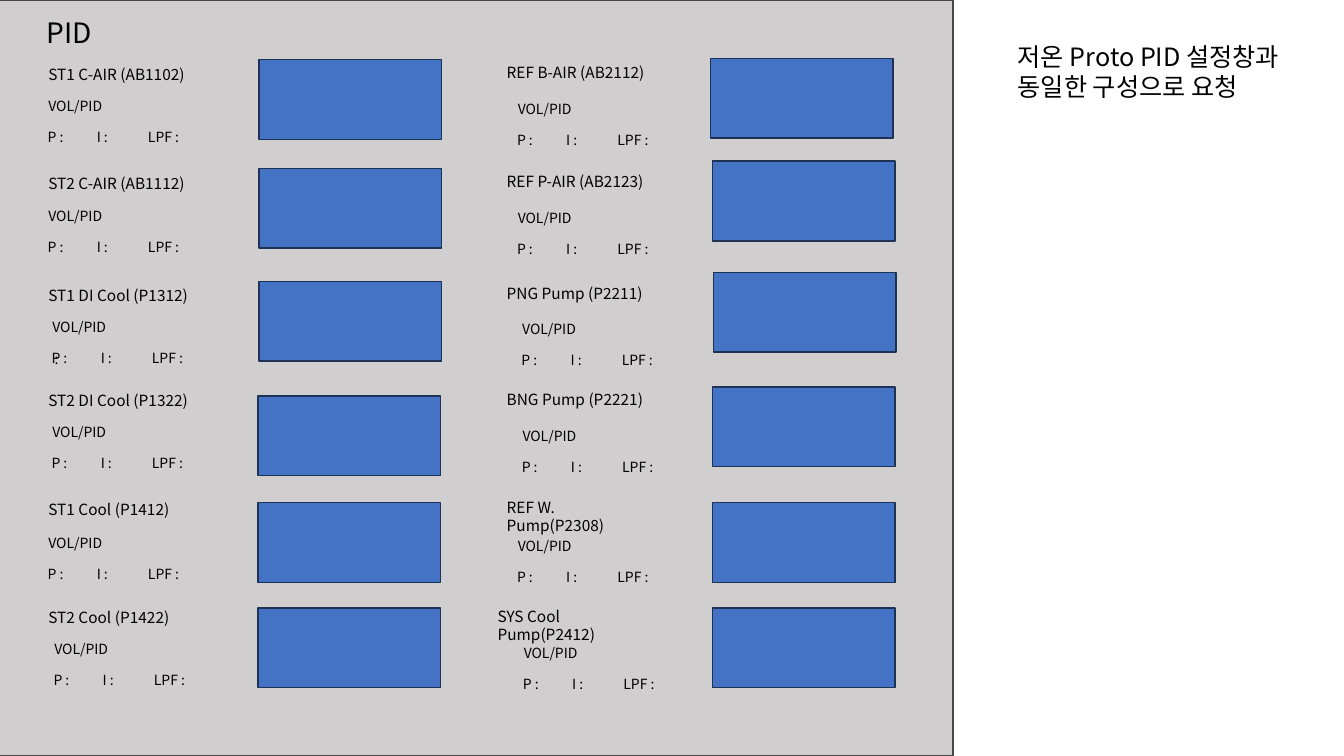
from lxml import etree
from pptx import Presentation, util as u
from pptx.dml.color import RGBColor
from pptx.enum import shapes, text
from pptx.oxml.ns import qn

# label, label x, label y, settings x, settings y, display x, display y (cm)
CONTROLLERS = [
    ("ST1 C-AIR (AB1102)", 0.97, 1.52, 0.95, 2.34, 6.53, 1.5),
    ("ST2 C-AIR (AB1112)", 0.97, 4.27, 0.95, 5.1, 6.53, 4.24),
    ("ST1 DI Cool (P1312)", 0.97, 7.09, 1.05, 7.89, 6.53, 7.09),
    ("ST2 DI Cool (P1322)", 0.97, 9.73, 1.05, 10.55, 6.5, 9.98),
    ("ST1 Cool (P1412)", 0.97, 12.47, 0.95, 13.34, 6.5, 12.67),
    ("ST2 Cool (P1422)", 0.97, 15.19, 1.1, 16.02, 6.5, 15.32),
    ("REF B-AIR (AB2112)", 12.52, 1.47, 12.78, 2.4, 17.91, 1.47),
    ("REF P-AIR (AB2123)", 12.52, 4.22, 12.78, 5.15, 17.96, 4.06),
    ("PNG Pump (P2211)", 12.52, 7.04, 12.89, 7.94, 17.98, 6.86),
    ("BNG Pump (P2221)", 12.52, 9.7, 12.9, 10.65, 17.96, 9.75),
    ("REF W. Pump(P2308)", 12.52, 12.42, 12.78, 13.41, 17.96, 12.67),
    ("SYS Cool Pump(P2412)", 12.29, 15.16, 12.93, 16.11, 17.96, 15.32),
]
# wording, offset x, offset y, width (cm)
SETTINGS = [
    ("VOL/PID", 0.02, 0, 2.51),
    ("P :", 0, 0.78, 0.91),
    ("I :", 1.24, 0.78, 0.91),
    ("LPF :", 2.53, 0.78, 1.32),
]


def color(value):
    return RGBColor.from_string(value)


class Screen:
    font_name = "Noto Sans CJK KR"
    ink = "000000"
    frame_format = {
        "word_wrap": True,
        "auto_size": text.MSO_AUTO_SIZE.SHAPE_TO_FIT_TEXT,
        "vertical_anchor": text.MSO_ANCHOR.TOP,
        "margin_left": u.Cm(0.25), "margin_right": u.Cm(0.25),
        "margin_top": u.Cm(0.13), "margin_bottom": u.Cm(0.13),
    }

    def __init__(self, slide):
        self.slide = slide

    def fill_text(self, shape, wording, size):
        frame = shape.text_frame
        for name, value in self.frame_format.items():
            setattr(frame, name, value)
        paragraph = frame.paragraphs[0]
        paragraph.alignment = text.PP_ALIGN.LEFT
        run = paragraph.add_run()
        run.text = wording
        for name, value in {"name": self.font_name, "size": u.Pt(size)}.items():
            setattr(run.font, name, value)
        run.font.color.rgb = color(self.ink)
        properties = run._r.get_or_add_rPr()
        etree.SubElement(properties, qn("a:ea"), typeface=self.font_name)

    def title(self, wording, left, top, width, height, size):
        shape = self.slide.shapes.title
        box = {"left": left, "top": top, "width": width, "height": height}
        for name, value in box.items():
            setattr(shape, name, u.Cm(value))
        self.fill_text(shape, wording, size)

    def label(self, wording, left, top, width, height, size):
        box = map(u.Cm, (left, top, width, height))
        self.fill_text(self.slide.shapes.add_textbox(*box), wording, size)

    def rectangle(self, left, top, width, height, fill, line):
        box = map(u.Cm, (left, top, width, height))
        shape = self.slide.shapes.add_shape(shapes.MSO_SHAPE.RECTANGLE, *box)
        shape.shadow.inherit = False
        shape.fill.solid()
        shape.fill.fore_color.rgb = color(fill)
        shape.line.color.rgb = color(line)
        shape.line.width = u.Pt(1)
        return shape

    def controller(self, name, name_x, name_y, set_x, set_y, display_x, display_y):
        """Draw one controller: its name, its settings and its display."""
        self.label(name, name_x, name_y, 4.19, 0.73, 11)
        for wording, dx, dy, width in SETTINGS:
            self.label(wording, set_x + dx, set_y + dy, width, 0.68, 10)
        self.rectangle(display_x, display_y, 4.6, 2.01, "4472C4", "1E3256")


def main():
    presentation = Presentation()
    presentation.slide_width = u.Cm(33.87)
    presentation.slide_height = u.Cm(19.05)
    slide = presentation.slides.add_slide(presentation.slide_layouts[5])
    screen = Screen(slide)

    panel = screen.rectangle(-0.08, 0, 24.1, 19.05, "D0CECE", "484848")
    slide.shapes.title.element.addprevious(panel.element)
    screen.title("PID", 0.92, 0.25, 5.54, 1.11, 20)
    for controller in CONTROLLERS:
        screen.controller(*controller)
    screen.label(":", 1.13, 8.71, 0.91, 0.68, 10)
    screen.label("저온 Proto PID 설정창과 동일한 구성으로 요청", 25.4, 0.91, 7.95, 1.8, 18)
    presentation.save("out.pptx")


if __name__ == "__main__":
    main()
